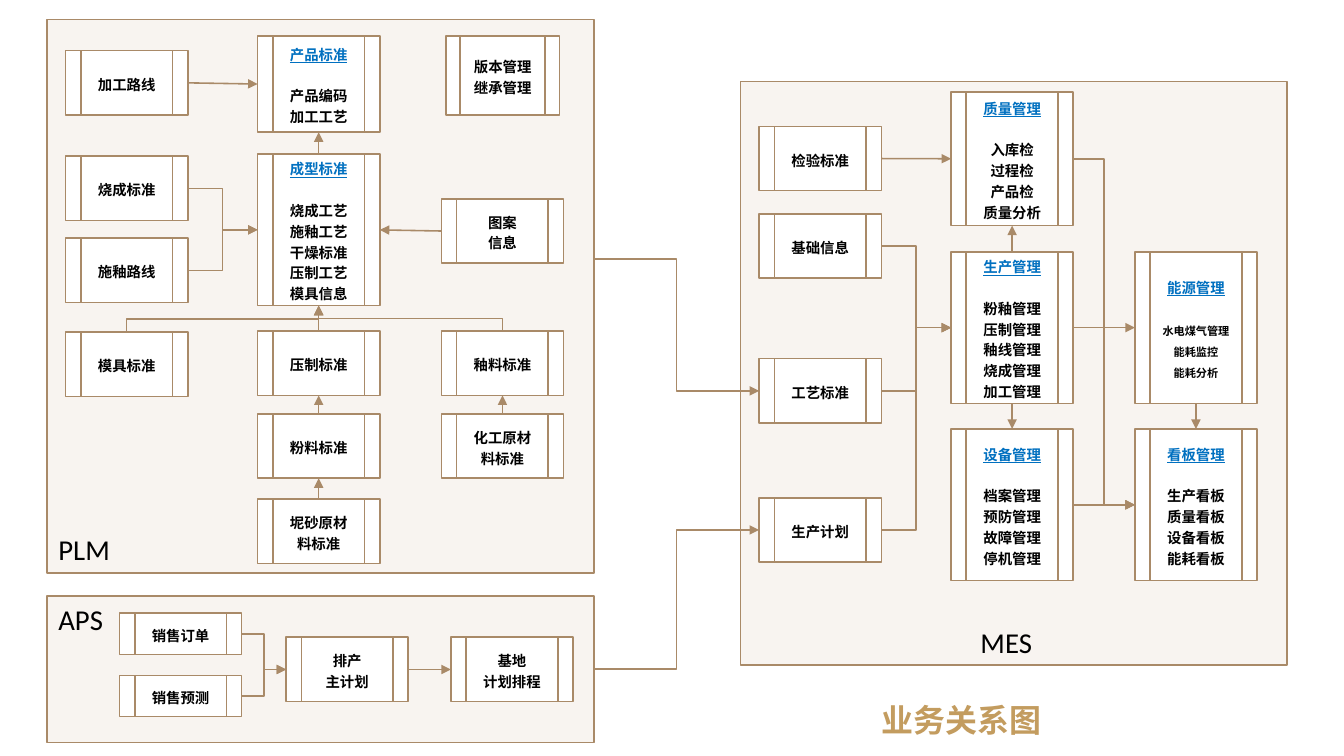
from lxml import etree
from pptx import Presentation
from pptx.dml.color import RGBColor
from pptx.enum.shapes import MSO_CONNECTOR, MSO_SHAPE
from pptx.enum.text import MSO_ANCHOR, PP_ALIGN
from pptx.oxml.ns import qn
from pptx.util import Cm, Pt

COLORS = {"panel": "C49B6D", "line": "A98A68", "box": "FFFFFF",
          "text": "000000", "heading": "0070C0", "title": "C39C5F"}
CJK = "Noto Sans CJK SC"
LATIN = "Calibri"
STRAIGHT, ELBOW = MSO_CONNECTOR.STRAIGHT, MSO_CONNECTOR.ELBOW
RECTANGLE, PROCESS = MSO_SHAPE.RECTANGLE, MSO_SHAPE.FLOWCHART_PREDEFINED_PROCESS
LEFT_ALIGN, CENTER, MIDDLE = PP_ALIGN.LEFT, PP_ALIGN.CENTER, MSO_ANCHOR.MIDDLE
TOP, LEFT, BOTTOM, RIGHT = range(4)
BOX_W, BOX_H, TALL_H = 2.7, 1.42, 3.35
COLUMNS = (0.41, 4.65, 8.71)
LINE_PITCH = Pt(13)


def rgb(name):
    return RGBColor.from_string(COLORS[name])


def write(paragraph, text, *, size=9, color="text", font=CJK, bold=True,
          underline=False, align=CENTER, spacing=LINE_PITCH, after=0):
    paragraph.alignment = align
    paragraph.line_spacing = spacing
    paragraph.space_after = after
    run = paragraph.add_run()
    run.text = text
    run.font.size = Pt(size)
    run.font.bold = bold
    run.font.underline = underline
    run.font.color.rgb = rgb(color)
    run.font.name = font
    east_asian = etree.SubElement(run.font._element, qn("a:ea"))
    east_asian.set("typeface", font)


def outlined(slide, preset, left, top, width, height, fill):
    shape = slide.shapes.add_shape(preset, Cm(left), Cm(top), Cm(width), Cm(height))
    shape.shadow.inherit = False
    shape.fill.solid()
    shape.fill.fore_color.rgb = rgb(fill)
    shape.line.color.rgb = rgb("line")
    shape.line.width = Pt(1)
    return shape


def add_panel(slide, left, top, width, height):
    panel = outlined(slide, RECTANGLE, left, top, width, height, "panel")
    tint = panel._element.spPr.find(qn("a:solidFill"))[0]
    etree.SubElement(tint, qn("a:alpha")).set("val", "10000")
    return panel


def add_label(slide, text, left, top, width, height, **style):
    label = slide.shapes.add_textbox(Cm(left), Cm(top), Cm(width), Cm(height))
    label.text_frame.word_wrap = True
    write(label.text_frame.paragraphs[0], text, align=LEFT_ALIGN, spacing=1.0, **style)


def add_box(slide, left, top, items, width=BOX_W, height=BOX_H, heading=None, size=9):
    box = outlined(slide, PROCESS, left, top, width, height, "box")
    frame = box.text_frame
    frame.word_wrap = True
    frame.vertical_anchor = MIDDLE
    lines = items.split()
    if heading:
        write(frame.paragraphs[0], heading, color="heading", underline=True, after=LINE_PITCH)
    else:
        write(frame.paragraphs[0], lines.pop(0), size=size)
    for line in lines:
        write(frame.add_paragraph(), line, size=size)
    return box


def side_point(shape, side):
    across = {LEFT: 0, RIGHT: 2}.get(side, 1)
    down = {TOP: 0, BOTTOM: 2}.get(side, 1)
    return shape.left + shape.width * across // 2, shape.top + shape.height * down // 2


def add_arrow(slide, source, source_side, target, target_side, kind=STRAIGHT, start=None):
    start_x, start_y = start or side_point(source, source_side)
    end_x, end_y = side_point(target, target_side)
    arrow = slide.shapes.add_connector(kind, start_x, start_y, end_x, end_y)
    if not start:
        arrow.begin_connect(source, source_side)
    arrow.end_connect(target, target_side)
    if kind == ELBOW and source_side == TOP:
        turn_upward(arrow, start_x, start_y, end_x, end_y)
    arrow.line.color.rgb = rgb("line")
    arrow.line.width = Pt(1)
    line = arrow.line._get_or_add_ln()
    etree.SubElement(line, qn("a:tailEnd")).set("type", "triangle")
    etree.SubElement(arrow._element.spPr, qn("a:effectLst"))


def turn_upward(arrow, start_x, start_y, end_x, end_y):
    rise, run = abs(end_y - start_y), abs(end_x - start_x)
    arrow.left = (start_x + end_x - rise) // 2
    arrow.top = (start_y + end_y - run) // 2
    arrow.width, arrow.height = rise, run
    xfrm = arrow._element.spPr.find(qn("a:xfrm"))
    xfrm.set("rot", "16200000")
    xfrm.set("flipH", "0")
    xfrm.set("flipV", "1" if start_x > end_x else "0")


def build_plm(slide, left, top, width, height):
    panel = add_panel(slide, left, top, width, height)
    first, second, third = (left + offset for offset in COLUMNS)
    routing = add_box(slide, first, top + 0.69, "加工路线")
    firing = add_box(slide, first, top + 3.02, "烧成标准")
    glazing = add_box(slide, first, top + 4.83, "施釉路线")
    mold = add_box(slide, first, top + 6.9, "模具标准")
    product = add_box(slide, second, top + 0.36, "产品编码 加工工艺",
                      height=2.13, heading="产品标准")
    forming = add_box(slide, second, top + 2.97, "烧成工艺 施釉工艺 干燥标准 压制工艺 模具信息",
                      height=TALL_H, heading="成型标准")
    pressing = add_box(slide, second, top + 6.88, "压制标准")
    powder = add_box(slide, second, top + 8.71, "粉料标准")
    clay = add_box(slide, second, top + 10.59, "坭砂原材料标准")
    add_box(slide, third + 0.1, top + 0.36, "版本管理继承管理", width=2.51, height=1.75)
    pattern = add_box(slide, third, top + 3.96, "图案 信息")
    glaze = add_box(slide, third, top + 6.88, "釉料标准")
    chemical = add_box(slide, third, top + 8.71, "化工原材料标准")
    add_arrow(slide, routing, RIGHT, product, LEFT)
    add_arrow(slide, pattern, LEFT, forming, RIGHT)
    for lower, upper in ((clay, powder), (powder, pressing), (pressing, forming),
                         (forming, product), (chemical, glaze)):
        add_arrow(slide, lower, TOP, upper, BOTTOM)
    for standard in (firing, glazing):
        add_arrow(slide, standard, RIGHT, forming, LEFT, ELBOW)
    for standard in (mold, glaze):
        add_arrow(slide, standard, TOP, forming, BOTTOM, ELBOW)
    add_label(slide, "PLM", left, top + 11.18, 1.96, 1.02, size=18, font=LATIN, bold=False)
    return panel


def build_mes(slide, left, top, width, height):
    add_panel(slide, left, top, width, height)
    first, second, third = (left + offset for offset in COLUMNS)
    inspection = add_box(slide, first, top + 0.99, "检验标准")
    basics = add_box(slide, first, top + 2.92, "基础信息")
    process = add_box(slide, first, top + 6.12, "工艺标准")
    plan = add_box(slide, first, top + 9.19, "生产计划")
    quality = add_box(slide, second, top + 0.23, "入库检 过程检 产品检 质量分析",
                      height=2.95, heading="质量管理")
    production = add_box(slide, second, top + 3.76, "粉釉管理 压制管理 釉线管理 烧成管理 加工管理",
                         height=TALL_H, heading="生产管理")
    equipment = add_box(slide, second, top + 7.67, "档案管理 预防管理 故障管理 停机管理",
                        height=TALL_H, heading="设备管理")
    energy = add_box(slide, third, top + 3.76, "水电煤气管理 能耗监控 能耗分析",
                     height=TALL_H, heading="能源管理", size=7)
    dashboard = add_box(slide, third, top + 7.67, "生产看板 质量看板 设备看板 能耗看板",
                        height=TALL_H, heading="看板管理")
    for source, target in ((inspection, quality), (production, energy), (equipment, dashboard)):
        add_arrow(slide, source, RIGHT, target, LEFT)
    for upper, lower in ((production, equipment), (energy, dashboard)):
        add_arrow(slide, upper, BOTTOM, lower, TOP)
    add_arrow(slide, production, TOP, quality, BOTTOM)
    for source in (basics, process, plan):
        add_arrow(slide, source, RIGHT, production, LEFT, ELBOW)
    for source in (quality, production):
        add_arrow(slide, source, RIGHT, dashboard, LEFT, ELBOW)
    add_label(slide, "MES", left + 5.05, top + 11.86, 1.96, 1.02,
              size=18, font=LATIN, bold=False)
    return process, plan


def build_aps(slide, left, top, width, height):
    panel = add_panel(slide, left, top, width, height)
    orders = add_box(slide, left + 1.6, top + 0.38, "销售订单", height=0.91)
    forecast = add_box(slide, left + 1.6, top + 1.75, "销售预测", height=0.91)
    master = add_box(slide, left + 5.28, top + 0.91, "排产 主计划")
    schedule = add_box(slide, left + 8.92, top + 0.91, "基地 计划排程")
    for demand in (orders, forecast):
        add_arrow(slide, demand, RIGHT, master, LEFT, ELBOW)
    add_arrow(slide, master, RIGHT, schedule, LEFT)
    add_label(slide, "APS", left, top, 1.96, 1.02, size=18, font=LATIN, bold=False)
    return panel


def main():
    deck = Presentation()
    deck.slide_width, deck.slide_height = Cm(29.69), Cm(16.69)
    slide = deck.slides.add_slide(deck.slide_layouts[6])
    plm = build_plm(slide, 1.04, 0.43, 12.09, 12.22)
    process, plan = build_mes(slide, 16.36, 1.8, 12.07, 12.88)
    aps = build_aps(slide, 1.04, 13.16, 12.09, 3.23)
    add_arrow(slide, plm, RIGHT, process, LEFT, ELBOW,
              start=(plm.left + plm.width, Cm(5.72)))
    add_arrow(slide, aps, RIGHT, plan, LEFT, ELBOW)
    add_label(slide, "业务关系图", 19.23, 15.34, 5.84, 1.12, size=20, color="title")
    deck.save("out.pptx")


if __name__ == "__main__":
    main()
